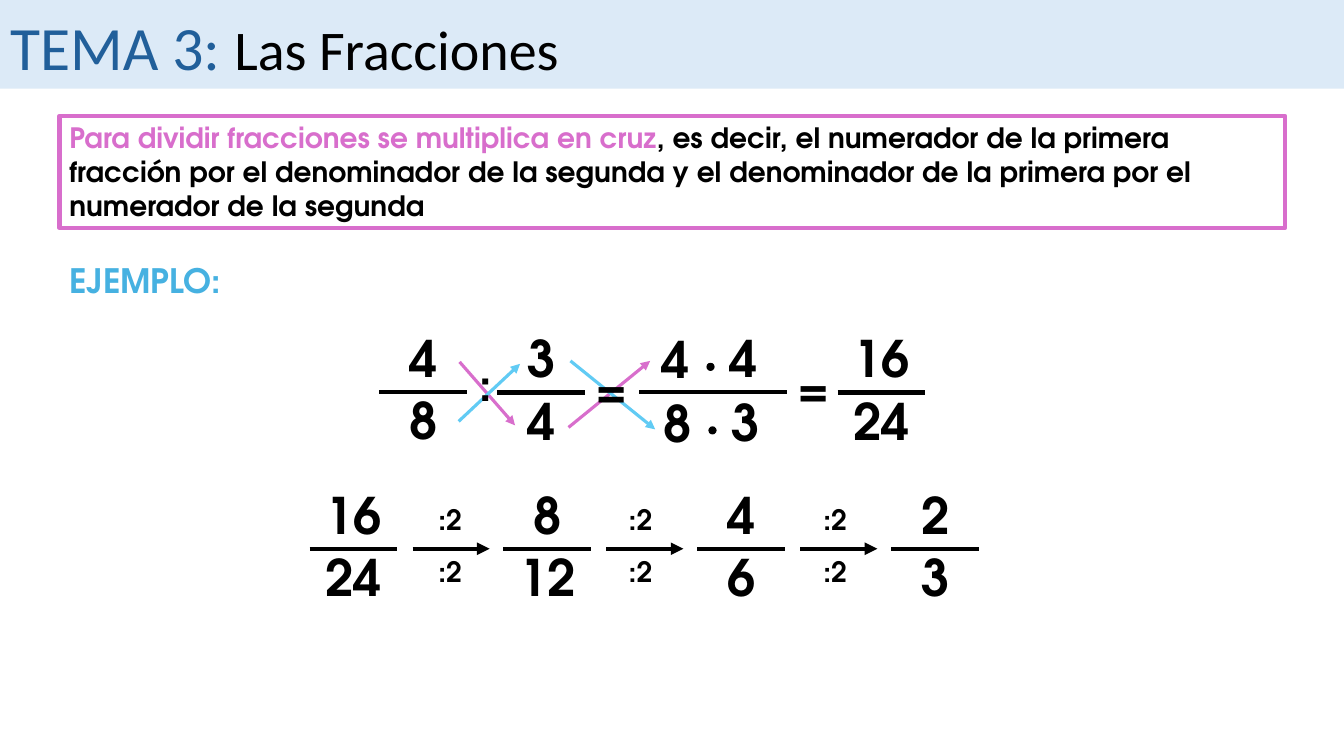
from dataclasses import dataclass

from lxml import etree
from pptx import Presentation
from pptx.dml.color import RGBColor
from pptx.enum.shapes import MSO_CONNECTOR, MSO_SHAPE
from pptx.enum.text import MSO_ANCHOR, MSO_AUTO_SIZE, PP_ALIGN
from pptx.oxml.ns import qn
from pptx.util import Pt

LEFT, CENTER = PP_ALIGN.LEFT, PP_ALIGN.CENTER
TOP = MSO_ANCHOR.TOP
GROW, NO_FIT = MSO_AUTO_SIZE.SHAPE_TO_FIT_TEXT, MSO_AUTO_SIZE.NONE
STRAIGHT = MSO_CONNECTOR.STRAIGHT
RECTANGLE, OVAL = MSO_SHAPE.RECTANGLE, MSO_SHAPE.OVAL

BLACK = RGBColor(0x00, 0x00, 0x00)
PINK = RGBColor(0xD8, 0x6E, 0xCC)
SKY = RGBColor(0x61, 0xCB, 0xF4)
EXAMPLE_BLUE = RGBColor(0x46, 0xB1, 0xE1)
TITLE_BLUE = RGBColor(0x21, 0x5F, 0x9A)
BAND_BLUE = RGBColor(0xDC, 0xEA, 0xF7)

TITLE_FONT = "Calibri"
MATH_FONT = "TeX Gyre Adventor"

# All lengths are in points
SLIDE_WIDTH, SLIDE_HEIGHT = 960, 540
NUMBER_WIDTH, NUMBER_HEIGHT = 64.8, 51.1
BAR_OFFSET, DENOMINATOR_OFFSET = 50, 44.6
BAR_INSET, BAR_LENGTH = 0.8, 62.6
REDUCTION_LEFT, REDUCTION_TOP, REDUCTION_STEP = 220.3, 342, 138.5
DIVISOR_LEFTS = (306, 442, 581)
DIVISOR_TOPS = (355.7, 392.4)


@dataclass
class Fraction:
    numerator: str
    denominator: str
    left: float
    top: float


@dataclass
class Product:
    first: str
    second: str
    left: float
    top: float


@dataclass
class Operator:
    symbol: str
    left: float
    top: float


@dataclass
class CrossArrow:
    start: tuple[float, float]
    end: tuple[float, float]
    color: RGBColor


OPERATION_FRACTIONS = [
    Fraction("4", "8", 270, 229.8),
    Fraction("3", "4", 354.2, 230.4),
    Fraction("16", "24", 597.6, 230.4),
]
REDUCTION_FRACTIONS = [
    Fraction(numerator, denominator, REDUCTION_LEFT + index * REDUCTION_STEP, REDUCTION_TOP)
    for index, (numerator, denominator) in enumerate(
        [("16", "24"), ("8", "12"), ("4", "6"), ("2", "3")])
]
PRODUCTS = [Product("4", "4", 450, 230.4), Product("8", "3", 451.4, 275.8)]
OPERATORS = [
    Operator(":", 319, 251.3),
    Operator("=", 409, 254.9),
    Operator("=", 553.7, 254.2),
]
CROSS_ARROWS = [
    CrossArrow((328.3, 258.5), (367.9, 303.8), PINK),
    CrossArrow((327.6, 301), (371.5, 259.9), SKY),
    CrossArrow((406.1, 305.3), (464.4, 257.8), PINK),
    CrossArrow((407.5, 257.8), (468, 306.7), SKY),
]


def format_run(run, size: float, color: RGBColor, name: str, bold: bool) -> None:
    run.font.size = Pt(size)
    run.font.color.rgb = color
    run.font.name = name
    run.font.bold = bold


def add_text(slide, text: str, left: float, top: float, width: float, height: float,
             size: float, color: RGBColor = BLACK, alignment=CENTER):
    box = slide.shapes.add_textbox(Pt(left), Pt(top), Pt(width), Pt(height))
    box.text_frame.word_wrap = True
    box.text_frame.auto_size = GROW
    paragraph = box.text_frame.paragraphs[0]
    paragraph.text = text
    paragraph.alignment = alignment
    format_run(paragraph.runs[0], size, color, MATH_FONT, True)
    return box


def add_line(slide, start: tuple[float, float], end: tuple[float, float],
             color: RGBColor = BLACK, width: float = 3, arrow: bool = False) -> None:
    line = slide.shapes.add_connector(STRAIGHT, *map(Pt, start + end))
    line.line.color.rgb = color
    line.line.width = Pt(width)
    if arrow:
        outline = line.line._get_or_add_ln()
        etree.SubElement(outline, qn("a:tailEnd"), type="triangle")
    etree.SubElement(line._element.spPr, qn("a:effectLst"))


def add_filled_shape(slide, kind, left: float, top: float, width: float, height: float,
                     color: RGBColor):
    shape = slide.shapes.add_shape(kind, Pt(left), Pt(top), Pt(width), Pt(height))
    shape.shadow.inherit = False
    shape.fill.solid()
    shape.fill.fore_color.rgb = color
    return shape


def add_number(slide, text: str, left: float, top: float) -> None:
    add_text(slide, text, left, top, NUMBER_WIDTH, NUMBER_HEIGHT, 36)


def add_fraction(slide, fraction: Fraction) -> None:
    left, top = fraction.left, fraction.top
    bar_left, bar_top = left + BAR_INSET, top + BAR_OFFSET
    add_number(slide, fraction.numerator, left, top)
    add_line(slide, (bar_left, bar_top), (bar_left + BAR_LENGTH, bar_top))
    add_number(slide, fraction.denominator, left, top + DENOMINATOR_OFFSET)


def add_product(slide, product: Product) -> None:
    left, top = product.left, product.top
    add_number(slide, product.first, left, top + 0.7)
    add_number(slide, product.second, left + 49, top)
    dot = add_filled_shape(slide, OVAL, left + 55.4, top + 29.5, 4.3, 4.3, BLACK)
    dot.line.color.rgb = BLACK
    dot.line.width = Pt(1.5)


def add_title(slide) -> None:
    band = add_filled_shape(slide, RECTANGLE, 0, 0, SLIDE_WIDTH, 63.4, BAND_BLUE)
    band.line.fill.background()
    title = slide.shapes.title
    title._element.addprevious(band._element)
    title.left, title.top, title.width, title.height = Pt(0), Pt(2.9), Pt(853.2), Pt(60.5)
    frame = title.text_frame
    frame.text = "TEMA 3: "
    frame.word_wrap = True
    frame.auto_size = NO_FIT
    frame.vertical_anchor = TOP
    paragraph = frame.paragraphs[0]
    paragraph.alignment = LEFT
    format_run(paragraph.runs[0], 44, TITLE_BLUE, TITLE_FONT, False)
    topic = paragraph.add_run()
    topic.text = "Las Fracciones"
    format_run(topic, 40, BLACK, TITLE_FONT, False)


def add_rule(slide) -> None:
    box = add_text(slide, "Para dividir fracciones se multiplica en cruz",
                   42.5, 82.8, 875.5, 79.9, 20, PINK, LEFT)
    box.line.color.rgb = PINK
    box.line.width = Pt(3)
    explanation = box.text_frame.paragraphs[0].add_run()
    explanation.text = (", es decir, el numerador de la primera fracción por el denominador "
                        "de la segunda y el denominador de la primera por el numerador "
                        "de la segunda")
    format_run(explanation, 20, BLACK, MATH_FONT, True)


def main() -> None:
    presentation = Presentation()
    presentation.slide_width, presentation.slide_height = Pt(SLIDE_WIDTH), Pt(SLIDE_HEIGHT)
    slide = presentation.slides.add_slide(presentation.slide_layouts.get_by_name("Title Only"))

    # Heading, rule and example label
    add_title(slide)
    add_rule(slide)
    add_text(slide, "EJEMPLO:", 42.5, 182.2, 154, 36, 24, EXAMPLE_BLUE, LEFT)

    # Division worked out by cross multiplication
    for arrow in CROSS_ARROWS:
        add_line(slide, arrow.start, arrow.end, arrow.color, 2.25, arrow=True)
    for fraction in OPERATION_FRACTIONS + REDUCTION_FRACTIONS:
        add_fraction(slide, fraction)
    for product in PRODUCTS:
        add_product(slide, product)
    add_line(slide, (456.5, 280.1), (562.3, 280.1))
    for operator in OPERATORS:
        add_text(slide, operator.symbol, operator.left, operator.top, 55.4, 46.1, 32)

    # Steps that reduce the result
    for fraction, divisor_left in zip(REDUCTION_FRACTIONS, DIVISOR_LEFTS):
        arrow_left = fraction.left + 74.4
        add_line(slide, (arrow_left, 392), (arrow_left + 55, 392), arrow=True)
        for divisor_top in DIVISOR_TOPS:
            add_text(slide, ":2", divisor_left, divisor_top, 35.3, 31.7, 20, alignment=LEFT)

    presentation.save("out.pptx")


if __name__ == "__main__":
    main()
